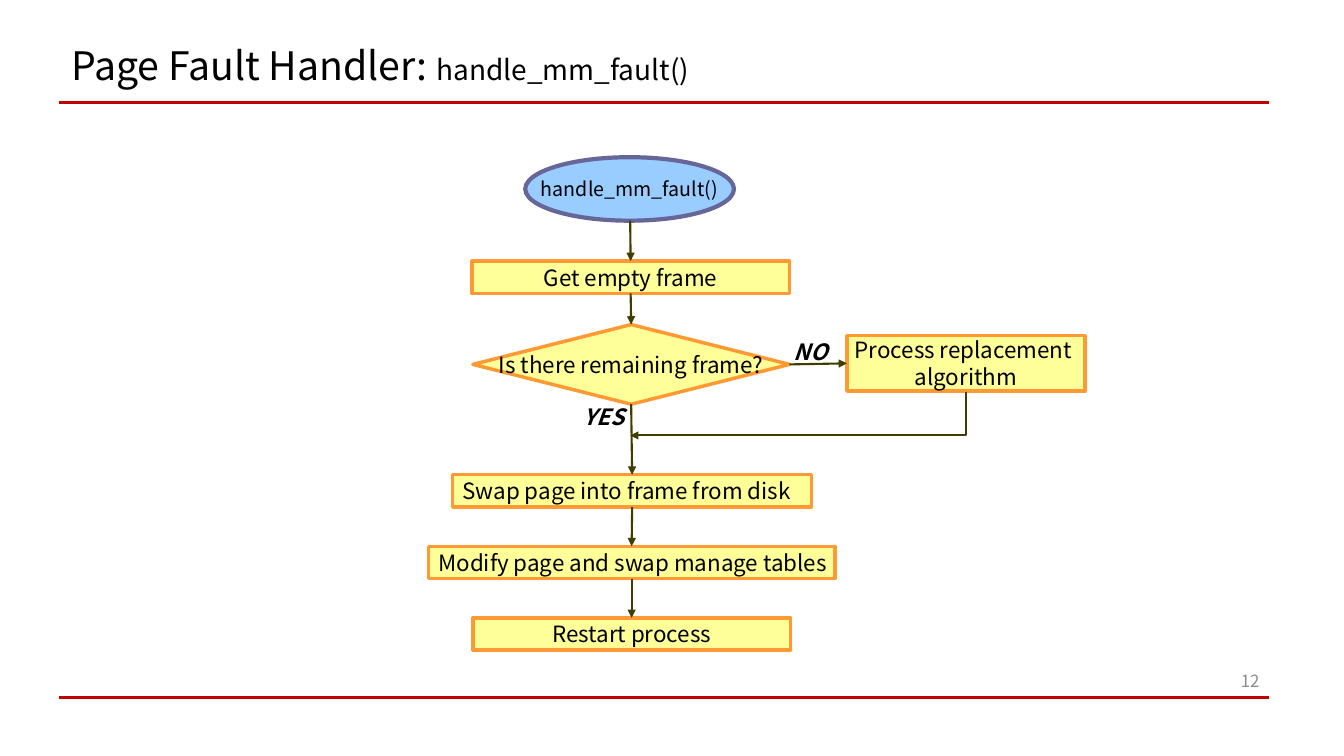
from lxml import etree
from pptx import Presentation
from pptx.dml.color import RGBColor
from pptx.enum.shapes import MSO_CONNECTOR, MSO_SHAPE
from pptx.enum.text import MSO_ANCHOR, PP_ALIGN
from pptx.oxml.ns import qn
from pptx.util import Inches, Pt

FONT = "Noto Sans CJK KR"
COLORS = {
    "rule": "C00000", "text": "000000", "number": "8C8C8C", "arrow": "3F3E00",
    "start": "99CCFF", "start_line": "666699", "step": "FFFF99", "step_line": "FF9933",
}


def put_text(sp, *lines, size=16, color="text", align=PP_ALIGN.CENTER,
             anchor=MSO_ANCHOR.MIDDLE, wrap=False, bold=False, italic=False, spacing=None):
    """Each line is a string or a list of (text, size) runs."""
    tf = sp.text_frame
    tf.word_wrap = wrap
    tf.vertical_anchor = anchor
    for i, line in enumerate(lines):
        p = tf.add_paragraph() if i else tf.paragraphs[0]
        p.alignment = align
        p.line_spacing = spacing
        for text, run_size in [(line, size)] if isinstance(line, str) else line:
            r = p.add_run()
            r.text = text
            r.font.name = FONT
            r.font.size = Pt(run_size)
            r.font.bold = bold
            r.font.italic = italic
            r.font.color.rgb = RGBColor.from_string(COLORS[color])
            ea = etree.SubElement(r.font._element, qn("a:ea"))
            ea.set("typeface", FONT)


def add_line(x1, y1, x2, y2, color="arrow", width=1.5, arrow=True, kind=MSO_CONNECTOR.STRAIGHT):
    line = slide.shapes.add_connector(kind, Inches(x1), Inches(y1), Inches(x2), Inches(y2))
    line.line.color.rgb = RGBColor.from_string(COLORS[color])
    line.line.width = Pt(width)
    if arrow:
        etree.SubElement(line.line._get_or_add_ln(), qn("a:tailEnd")).set("type", "triangle")
    etree.SubElement(line._element.spPr, qn("a:effectLst"))
    return line


prs = Presentation()
prs.slide_width, prs.slide_height = Inches(13.33), Inches(7.5)
slide = prs.slides.add_slide(prs.slide_layouts[6])

# Rules, title and slide number
for y in (1.02, 6.92):
    add_line(0.59, y, 12.59, y, color="rule", width=2.25, arrow=False)
title = slide.shapes.add_textbox(Inches(0.61), Inches(0.41), Inches(11.5), Inches(0.53))
put_text(title, [("Page Fault Handler: ", 28), ("handle_mm_fault()", 20)],
         align=PP_ALIGN.LEFT, wrap=True, spacing=0.9)
number = slide.shapes.add_textbox(Inches(12.1), Inches(6.55), Inches(0.49), Inches(0.4))
put_text(number, "12", size=12, color="number", align=PP_ALIGN.RIGHT, wrap=True)

# Flowchart nodes: name, shape, left, top, width, height, lines, alignment
BOX, MID, LEFT = MSO_SHAPE.FLOWCHART_PROCESS, PP_ALIGN.CENTER, PP_ALIGN.LEFT
nodes = [
    ("start", MSO_SHAPE.OVAL, 5.21, 1.56, 2.07, 0.63, ["handle_mm_fault()"], MID),
    ("get", BOX, 4.68, 2.59, 3.15, 0.32, ["Get empty frame"], MID),
    ("check", MSO_SHAPE.FLOWCHART_DECISION, 4.69, 3.22, 3.14, 0.79,
     ["Is there remaining frame?"], MID),
    ("replace", BOX, 8.4, 3.33, 2.36, 0.55, ["Process replacement ", "algorithm"], MID),
    ("swap", BOX, 4.49, 4.71, 3.56, 0.32, ["Swap page into frame from disk"], LEFT),
    ("modify", BOX, 4.25, 5.42, 4.03, 0.32, ["Modify page and swap manage tables"], LEFT),
    ("restart", BOX, 4.69, 6.13, 3.15, 0.32, ["Restart process"], MID),
]
shapes = {}
for name, kind, x, y, w, h, lines, align in nodes:
    is_start = name == "start"
    fill = "start" if is_start else "step"
    sp = slide.shapes.add_shape(kind, Inches(x), Inches(y), Inches(w), Inches(h))
    sp.shadow.inherit = False
    sp.fill.solid()
    sp.fill.fore_color.rgb = RGBColor.from_string(COLORS[fill])
    sp.line.color.rgb = RGBColor.from_string(COLORS[fill + "_line"])
    sp.line.width = Pt(3 if is_start else 2.5)
    put_text(sp, *lines, size=14 if is_start else 16, align=align)
    shapes[name] = sp

# Arrows between nodes
add_line(6.25, 2.19, 6.25, 2.59).end_connect(shapes["get"], 0)
for source, side, target, target_side in [
    ("get", 2, "check", 0), ("check", 3, "replace", 1), ("check", 2, "swap", 0),
    ("swap", 2, "modify", 0), ("modify", 2, "restart", 0),
]:
    arrow = add_line(0, 0, 1, 1)
    arrow.begin_connect(shapes[source], side)
    arrow.end_connect(shapes[target], target_side)

# Return path: one bend, turned a quarter so it runs down and then left
bend = add_line(7.7, 2.44, 8.13, 5.77, kind=MSO_CONNECTOR.ELBOW)
bend._element.spPr.find(qn("a:xfrm")).set("rot", "5400000")
bend._element.spPr.find(qn("a:prstGeom")).set("prst", "bentConnector2")

# Branch labels
for text, x, y in [("NO", 7.77, 3.31), ("YES", 5.69, 3.95)]:
    label = slide.shapes.add_textbox(Inches(x), Inches(y), Inches(0.71), Inches(0.37))
    put_text(label, text, align=LEFT, anchor=MSO_ANCHOR.TOP, wrap=True, bold=True, italic=True)

prs.save("out.pptx")
